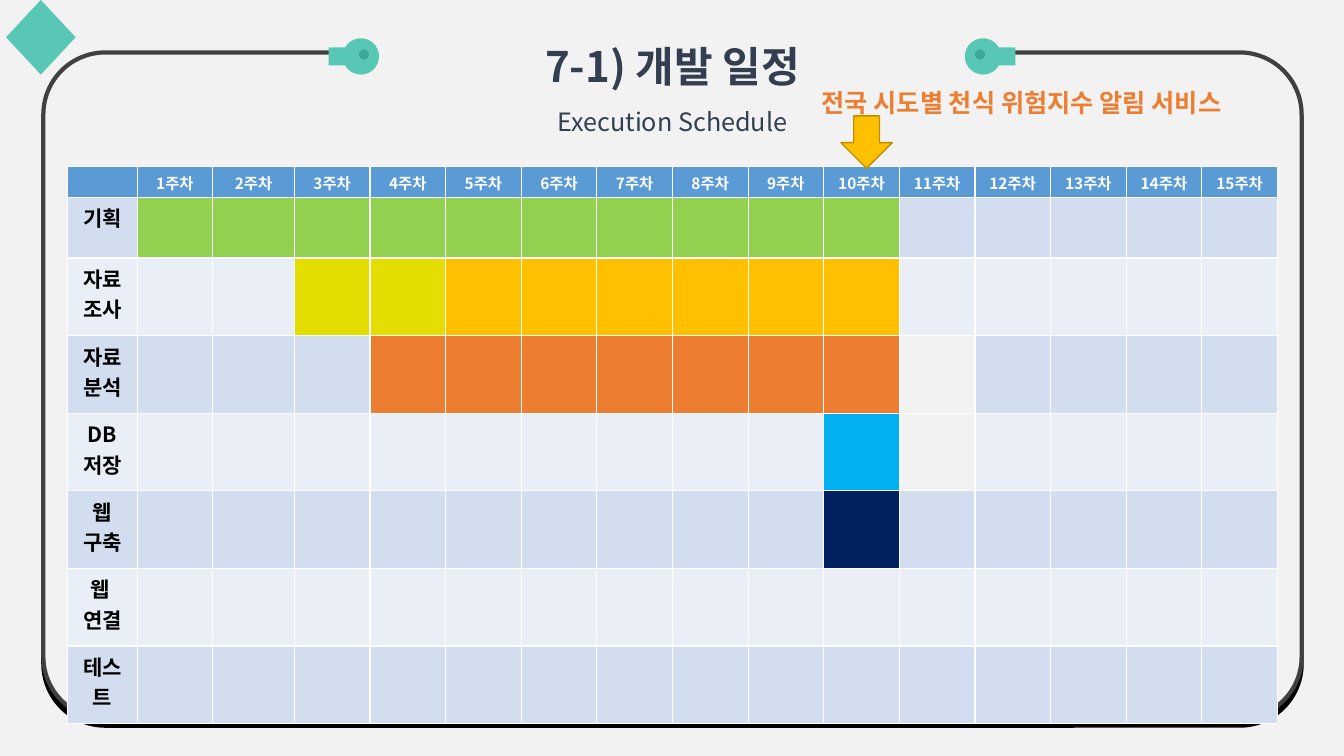
import math

from lxml import etree
from pptx import Presentation
from pptx.dml.color import RGBColor
from pptx.enum.shapes import MSO_SHAPE
from pptx.enum.text import MSO_ANCHOR, PP_ALIGN
from pptx.oxml.ns import qn
from pptx.util import Inches, Pt

ROUNDED, RECT = MSO_SHAPE.ROUNDED_RECTANGLE, MSO_SHAPE.RECTANGLE
DIAMOND, DOWN_ARROW = MSO_SHAPE.DIAMOND, MSO_SHAPE.DOWN_ARROW
CENTER, LEFT = PP_ALIGN.CENTER, PP_ALIGN.LEFT
MIDDLE = MSO_ANCHOR.MIDDLE

FONT = "Noto Sans CJK KR"
PAPER = RGBColor(0xF2, 0xF2, 0xF2)
FRAME = RGBColor(0x40, 0x40, 0x40)
NAVY_TEXT = RGBColor(0x33, 0x3F, 0x50)
TEAL = RGBColor(0x59, 0xC7, 0xB6)
DARK_TEAL = RGBColor(0x39, 0xA9, 0x99)
WHITE = RGBColor(0xFF, 0xFF, 0xFF)
BLACK = RGBColor(0, 0, 0)
HEADER = RGBColor(0x5B, 0x9B, 0xD5)
BANDS = RGBColor(0xD2, 0xDE, 0xEF), RGBColor(0xEA, 0xEF, 0xF7)
GREEN = RGBColor(0x92, 0xD0, 0x50)
LIME = RGBColor(0xE3, 0xDE, 0x00)
AMBER = RGBColor(0xFF, 0xC0, 0x00)
DARK_AMBER = RGBColor(0xBD, 0x8E, 0x00)
ORANGE = RGBColor(0xED, 0x7D, 0x31)
SKY = RGBColor(0x00, 0xB0, 0xF0)
NAVY = RGBColor(0x00, 0x20, 0x60)

WEEKS = 15
# Task name, then bars as (first week, last week, colour); None leaves cells clear.
TASKS = [
    ("기획", [(1, 10, GREEN)]),
    ("자료조사", [(3, 4, LIME), (5, 10, AMBER)]),
    ("자료분석", [(4, 10, ORANGE), (11, 11, None)]),
    ("DB저장", [(10, 10, SKY), (11, 11, None)]),
    ("웹\n구축", [(10, 10, NAVY)]),
    ("웹 \n연결", []),
    ("테스트", []),
]


def paint(sp, fill, line=None, width=1):
    sp.shadow.inherit = False
    sp.fill.solid()
    sp.fill.fore_color.rgb = fill
    if line is None:
        sp.line.fill.background()
    else:
        sp.line.color.rgb = line
        sp.line.width = Pt(width)


def add_box(slide, kind, box, fill, line=None, width=1):
    sp = slide.shapes.add_shape(kind, *map(Inches, box))
    paint(sp, fill, line, width)
    return sp


def style(p, size, color, bold=True, align=CENTER):
    p.alignment = align
    p.font.size = Pt(size)
    p.font.bold = bold
    p.font.color.rgb = color
    p.font.name = FONT
    # East Asian text takes its font from a separate element.
    props = p._p.pPr.find(qn("a:defRPr"))
    etree.SubElement(props, qn("a:ea"), typeface=FONT)


def add_frame(slide, box):
    sp = add_box(slide, ROUNDED, box, PAPER, FRAME, 3)
    sp.adjustments[0] = 0.093
    effects = sp._element.spPr.find(qn("a:effectLst"))
    shadow = etree.SubElement(effects, qn("a:outerShdw"), blurRad="0",
                              dist=str(Pt(5)), dir="5400000", algn="t", rotWithShape="0")
    etree.SubElement(shadow, qn("a:srgbClr"), val=str(BLACK))


def add_title(slide, box):
    tf = add_box(slide, RECT, box, PAPER).text_frame
    tf.word_wrap = True
    tf.vertical_anchor = MIDDLE
    tf.text = "7-1) 개발 일정\nExecution Schedule"
    for p, size, bold in zip(tf.paragraphs, (30, 18), (True, False)):
        p.line_spacing = 1.5
        style(p, size, NAVY_TEXT, bold)


def arc(x, y, radius, start, end, steps=24):
    angles = [math.radians(start + (end - start) * i / steps) for i in range(steps + 1)]
    return [(x + radius * math.cos(a), y + radius * math.sin(a)) for a in angles]


def add_outline(group, points, fill):
    points = [(Inches(x), Inches(y)) for x, y in points]
    builder = group.shapes.build_freeform(*points[0])
    builder.add_line_segments(points[1:], close=True)
    paint(builder.convert_to_shape(), fill)


def add_key(slide, x, y, side):
    """Round knob centred at x, y whose stem points right (side 1) or left (side -1)."""
    group = slide.shapes.add_group_shape()
    stem_end = 0.32
    knob = [(stem_end, -0.09), (stem_end, 0.09)] + arc(0, 0, 0.18, 30, 330)
    hole = arc(-0.03, -0.02, 0.05, 0, 345, 23)
    for points, fill in ((knob, TEAL), (hole, DARK_TEAL)):
        add_outline(group, [(x + side * dx, y + dy) for dx, dy in points], fill)


def add_service_note(slide, box):
    tf = slide.shapes.add_textbox(*map(Inches, box)).text_frame
    tf.word_wrap = False
    tf.text = "전국 시도별 천식 위험지수 알림 서비스"
    style(tf.paragraphs[0], 18, ORANGE, align=LEFT)


def fill_cell(cell, fill):
    if fill is None:
        cell.fill.background()
    else:
        cell.fill.solid()
        cell.fill.fore_color.rgb = fill


def write_cell(cell, text, size, color):
    cell.text_frame.text = text
    for p in cell.text_frame.paragraphs:
        style(p, size, color)


def add_schedule(slide, box):
    table = slide.shapes.add_table(len(TASKS) + 1, WEEKS + 1, *map(Inches, box)).table
    for col, width in zip(table.columns, [0.69, 0.75, 0.81] + [0.75] * 13):
        col.width = Inches(width)
    for row, height in zip(table.rows, [0.31, 0.6] + [0.77] * 6):
        row.height = Inches(height)

    for week in range(WEEKS + 1):
        cell = table.cell(0, week)
        fill_cell(cell, HEADER)
        if week:
            write_cell(cell, f"{week}주차", 11, WHITE)
    # The empty corner would otherwise force a taller header row.
    corner = table.cell(0, 0).text_frame.paragraphs[0]
    etree.SubElement(corner._p, qn("a:endParaRPr"), sz="1100")

    for row, (task, bars) in enumerate(TASKS, 1):
        fills = [BANDS[(row - 1) % 2]] * (WEEKS + 1)
        for first, last, color in bars:
            fills[first:last + 1] = [color] * (last - first + 1)
        for col, fill in enumerate(fills):
            fill_cell(table.cell(row, col), fill)
        write_cell(table.cell(row, 0), task, 15, BLACK)


def main():
    prs = Presentation()
    prs.slide_width, prs.slide_height = Inches(13.33), Inches(7.5)
    slide = prs.slides.add_slide(prs.slide_layouts[6])
    slide.background.fill.solid()
    slide.background.fill.fore_color.rgb = PAPER

    add_frame(slide, (0.43, 0.52, 12.48, 6.61))
    add_title(slide, (3.32, 0.13, 6.7, 1.25))
    add_key(slide, 9.75, 0.56, 1)
    add_key(slide, 3.58, 0.56, -1)
    add_box(slide, DIAMOND, (0.06, 0, 0.69, 0.74), TEAL)
    add_service_note(slide, (8.05, 0.82, 4.69, 0.4))
    add_schedule(slide, (0.67, 1.65, 12, 5.51))
    add_box(slide, DOWN_ARROW, (8.34, 1.15, 0.51, 0.52), AMBER, DARK_AMBER)
    prs.save("out.pptx")


if __name__ == "__main__":
    main()
